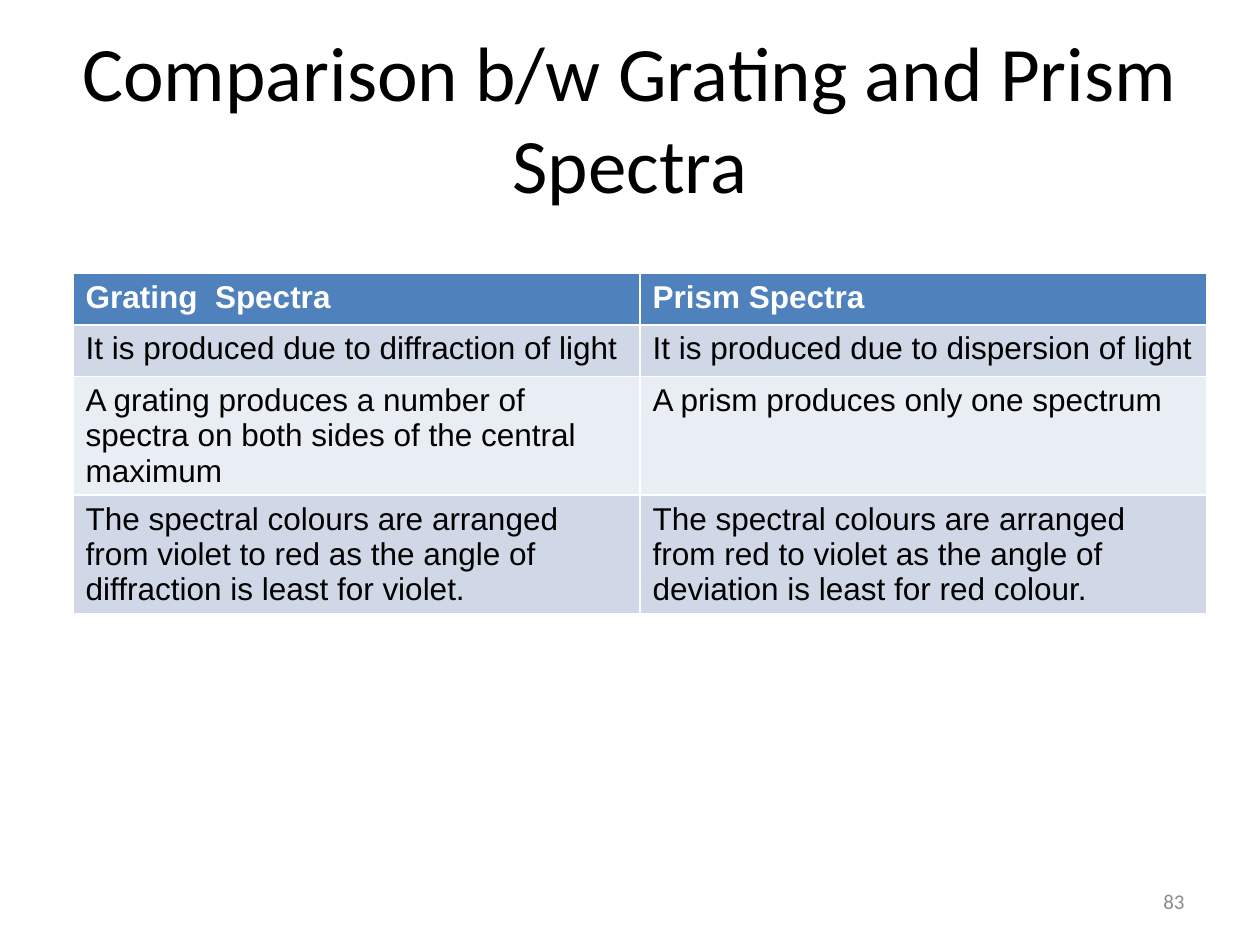
from pptx import Presentation
from pptx.dml.color import RGBColor
from pptx.enum.text import MSO_ANCHOR as ANCHOR, PP_ALIGN as ALIGN
from pptx.util import Inches, Pt

ROWS = [
    ("Grating  Spectra", "Prism Spectra"),
    ("It is produced due to diffraction of light",
     "It is produced due to dispersion of light"),
    ("A grating produces a number of spectra on both sides of the central maximum",
     "A prism produces only one spectrum"),
    ("The spectral colours are arranged from violet to red as the angle of "
     "diffraction is least for violet.",
     "The spectral colours are arranged from red to violet as the angle of "
     "deviation is least for red colour."),
]
HEADER_FILL = "4F81BD"
BAND_FILLS = ("E9EDF4", "D0D8E8")


def paint(color_format, value):
    """Set a colour format to a hex colour."""
    color_format.rgb = RGBColor.from_string(value)


def write(tf, text, size, name, color, align=ALIGN.LEFT, bold=False):
    """Put one formatted paragraph into a text frame."""
    tf.text = text
    tf.word_wrap = True
    p = tf.paragraphs[0]
    p.alignment = align
    font = p.runs[0].font
    font.size, font.name, font.bold = Pt(size), name, bold
    paint(font.color, color)


def add_title(slide, x, y, w, h):
    """Place the title in its box."""
    sp = slide.shapes.title
    sp.left, sp.top, sp.width, sp.height = (Inches(v) for v in (x, y, w, h))
    tf = sp.text_frame
    write(tf, "Comparison b/w Grating and Prism Spectra", 44, "Calibri",
          "000000", ALIGN.CENTER)
    tf.vertical_anchor = ANCHOR.MIDDLE


def add_comparison(slide, x, y, w, row_height):
    """Place the comparison table with equal columns and banded rows."""
    columns = len(ROWS[0])
    table = slide.shapes.add_table(
        len(ROWS), columns, Inches(x), Inches(y), Inches(w),
        Inches(row_height * len(ROWS))).table
    for i, texts in enumerate(ROWS):
        header = i == 0
        for j, text in enumerate(texts):
            cell = table.cell(i, j)
            cell.fill.solid()
            paint(cell.fill.fore_color, HEADER_FILL if header else BAND_FILLS[i % 2])
            write(cell.text_frame, text, 18, "Arial",
                  "FFFFFF" if header else "000000", bold=header)


def add_page_number(slide, x, y, w, h):
    """Place the page number at the right of its box."""
    tf = slide.shapes.add_textbox(Inches(x), Inches(y), Inches(w), Inches(h)).text_frame
    write(tf, "83", 12, "Calibri", "8C8C8C", ALIGN.RIGHT)
    tf.vertical_anchor = ANCHOR.MIDDLE


def main():
    """Build and save the slide."""
    prs = Presentation()
    prs.slide_width, prs.slide_height = Inches(10), Inches(7.5)
    slide = prs.slides.add_slide(prs.slide_layouts[5])
    add_title(slide, 0.5, 0.3, 9, 1.25)
    add_comparison(slide, 0.58, 2.17, 9, 0.41)
    add_page_number(slide, 7.17, 6.95, 2.33, 0.4)
    prs.save("out.pptx")


if __name__ == "__main__":
    main()
